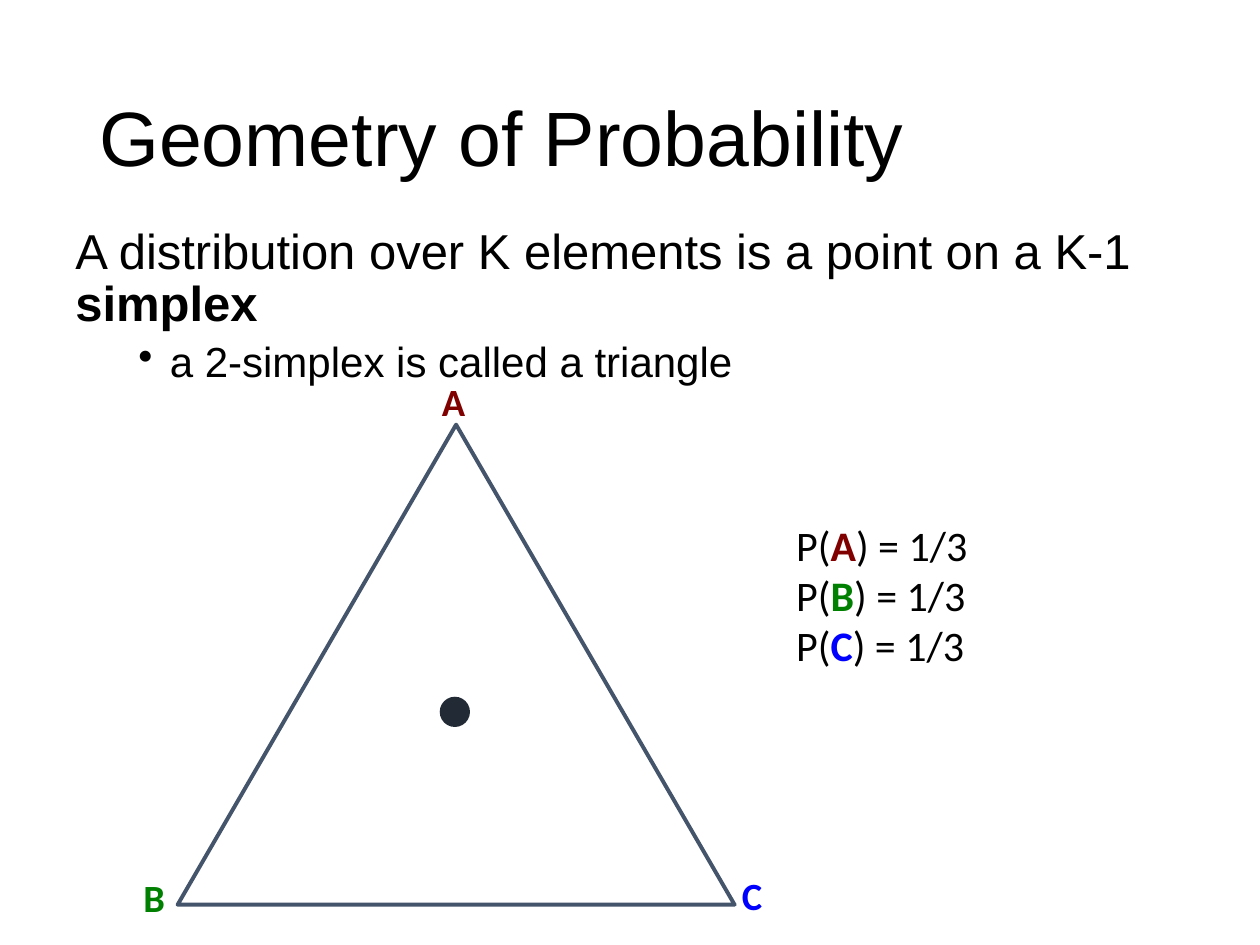
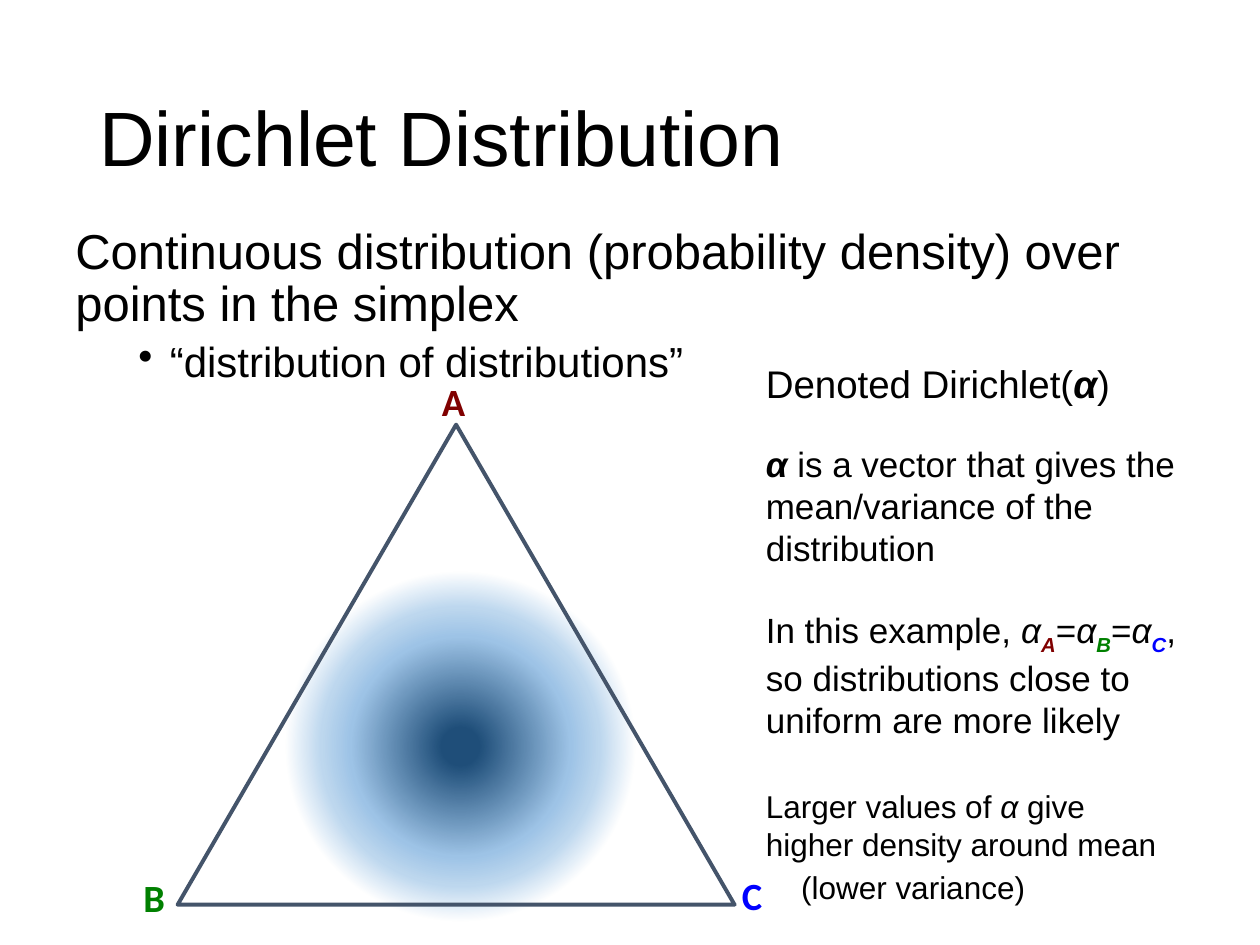
"""Build two slides on the probability simplex and the Dirichlet distribution."""
from dataclasses import dataclass, field
from typing import Any, NamedTuple

from lxml.etree import SubElement
from pptx import Presentation
from pptx.dml.color import RGBColor as Rgb
from pptx.enum.shapes import MSO_SHAPE as Preset
from pptx.enum.text import MSO_ANCHOR as Anchor
from pptx.oxml.ns import qn
from pptx.util import Inches, Pt

WIDTH, HEIGHT = Inches(10), Inches(7.5)
COLUMNS, ROWS = 100, 75

COLOURS = {
    "ink": "000000", "A": "800000", "B": "008000", "C": "0000FF",
    "edge": "44546A", "dot": "222A35",
    "core": "1F4E79", "middle": "9DC3E6", "pale": "BDD7EE", "paper": "FFFFFF",
}
DENSITY_STOPS = {5: "core", 30: "middle", 38: "pale", 48: "paper"}


class Area(NamedTuple):
    """A rectangle in grid columns and rows."""
    column: float
    row: float
    columns: float
    rows: float

    def emu(self) -> tuple[int, ...]:
        """Convert the grid rectangle to slide lengths."""
        steps = (WIDTH / COLUMNS, HEIGHT / ROWS) * 2
        return tuple(round(part * step) for part, step in zip(self, steps))


class Span(NamedTuple):
    """Words that share one look."""
    words: str
    look: dict[str, Any] = {}
    colour: str = "ink"
    subscript: bool = False


@dataclass
class Para:
    """A paragraph with its base font and spacing."""
    spans: list[Span]
    size: float
    font: str = "Arial"
    spacing: dict[str, Any] = field(default_factory=dict)
    bullet: bool = False
    indent: float = 0


class Vertex(NamedTuple):
    """A named corner of the simplex."""
    name: str
    column: float
    row: float


TITLE_AREA = Area(6.9, 4, 90, 14.5)
BODY_AREA = Area(5, 17.5, 90, 53.3)
SIMPLEX_AREA = Area(14.1, 33.7, 44.2, 38.1)
DENSITY_AREA = Area(14.6, 40.2, 43.9, 38.1)
POINT_AREA = Area(34.9, 55.3, 2.4, 2.4)
PROBABILITY_AREA = Area(62.2, 40.7, 32.8, 13.1)
NOTES_AREA = Area(59.8, 28.1, 36.7, 44.9)
VERTICES = [Vertex("A", 34.1, 29.5), Vertex("B", 10.4, 68.9), Vertex("C", 57.9, 68.7)]

BOLD, ITALIC = {"bold": True}, {"italic": True}
BOLD_ITALIC = BOLD | ITALIC
ALPHA, STRONG_ALPHA = Span("α", ITALIC), Span("α", BOLD_ITALIC)


def apply(target: Any, values: dict[str, Any]) -> None:
    """Set each named attribute on the target."""
    for name, value in values.items():
        setattr(target, name, value)


def write_span(paragraph: Any, span: Span, base: dict[str, Any]) -> None:
    """Add one run to a paragraph."""
    run = paragraph.add_run()
    run.text = span.words
    apply(run.font, base | span.look)
    run.font.color.rgb = Rgb.from_string(COLOURS[span.colour])
    if span.subscript:
        run.font._rPr.set("baseline", "-25000")


def write(slide: Any, area: Area, paras: list[Para], anchor: Any = Anchor.TOP) -> None:
    """Add a text box holding the paragraphs."""
    frame = slide.shapes.add_textbox(*area.emu()).text_frame
    apply(frame, {"word_wrap": True, "vertical_anchor": anchor})
    for index, para in enumerate(paras):
        paragraph = frame.add_paragraph() if index else frame.paragraphs[0]
        apply(paragraph, para.spacing)
        for span in para.spans:
            if span.words == "\n":
                paragraph.add_line_break()
            else:
                write_span(paragraph, span, {"name": para.font, "size": Pt(para.size)})
        properties = paragraph._p.get_or_add_pPr()
        if para.indent:
            properties.set("marL", str(Inches(para.indent)))
        if para.bullet:
            properties.set("indent", str(Inches(-0.25)))
            SubElement(properties, qn("a:buChar"), char="•")


def draw(slide: Any, preset: Any, area: Area, fill: str = "", edge: str = "") -> Any:
    """Add a flat preset shape with an optional fill and edge."""
    shape = slide.shapes.add_shape(preset, *area.emu())
    shape.shadow.inherit = False
    if fill:
        shape.fill.solid()
        shape.fill.fore_color.rgb = Rgb.from_string(COLOURS[fill])
    else:
        shape.fill.background()
    if edge:
        shape.line.color.rgb = Rgb.from_string(COLOURS[edge])
        shape.line.width = Pt(2.25)
    else:
        shape.line.fill.background()
    return shape


def draw_density(slide: Any) -> None:
    """Add the radial cloud of probability density."""
    cloud = draw(slide, Preset.RECTANGLE, DENSITY_AREA)
    cloud.fill.gradient()
    gradient = cloud._element.spPr.find(qn("a:gradFill"))
    for child in list(gradient):
        gradient.remove(child)
    stops = SubElement(gradient, qn("a:gsLst"))
    for percent, colour in DENSITY_STOPS.items():
        stop = SubElement(stops, qn("a:gs"), pos=str(percent * 1000))
        SubElement(stop, qn("a:srgbClr"), val=COLOURS[colour])
    circle = SubElement(gradient, qn("a:path"), path="circle")
    SubElement(circle, qn("a:fillToRect"), {side: "50000" for side in "ltrb"})


def draw_simplex(slide: Any) -> None:
    """Add the triangle and its corner labels."""
    draw(slide, Preset.ISOSCELES_TRIANGLE, SIMPLEX_AREA, edge="edge")
    for name, column, row in VERTICES:
        label = Para([Span(name, BOLD, name)], 22, "Calibri")
        write(slide, Area(column, row, 7, 4.7), [label])


def write_heading(slide: Any, title: str, statement: list[Span], detail: str) -> None:
    """Add the title, the statement and its bullet."""
    tight = {"line_spacing": 0.9}
    write(slide, TITLE_AREA, [Para([Span(title)], 44, spacing=tight)], Anchor.MIDDLE)
    write(slide, BODY_AREA, [
        Para(statement, 28, spacing=tight | {"space_before": Pt(10)}),
        Para([Span(detail)], 24, spacing=tight | {"space_before": Pt(5)},
             bullet=True, indent=0.75),
    ])


def build_geometry(slide: Any) -> None:
    """Show the uniform distribution as a point on the simplex."""
    statement = [Span("A distribution over K elements is a point on a K-1 "), Span("simplex", BOLD)]
    write_heading(slide, "Geometry of Probability", statement, "a 2-simplex is called a triangle")
    draw_simplex(slide)
    write(slide, PROBABILITY_AREA, [
        Para([Span("P("), Span(vertex.name, BOLD, vertex.name), Span(") = 1/3")], 24, "Calibri")
        for vertex in VERTICES
    ])
    draw(slide, Preset.OVAL, POINT_AREA, fill="dot")


def build_dirichlet(slide: Any) -> None:
    """Show a Dirichlet density over the simplex."""
    draw_density(slide)
    statement = [Span("Continuous distribution (probability density) over points in the simplex")]
    write_heading(slide, "Dirichlet Distribution", statement, "“distribution of distributions”")
    draw_simplex(slide)
    equal_alphas = []
    for vertex in VERTICES:
        equal_alphas += [ALPHA, Span(vertex.name, BOLD_ITALIC, vertex.name, True), Span("=")]
    after = {"space_after": Pt(3)}
    write(slide, NOTES_AREA, [
        Para([Span("Denoted Dirichlet("), STRONG_ALPHA, Span(")")], 22),
        Para([STRONG_ALPHA, Span(" is a vector that gives the mean/variance of the distribution")],
             20, spacing={"space_before": Pt(20.7)}),
        Para([Span("In this example, "), *equal_alphas[:-1],
              Span(", so distributions close to uniform are more likely")],
             20, spacing=after | {"space_before": Pt(23)}),
        Para([Span("Larger values of "), ALPHA, Span(" give"), Span("\n"),
              Span("higher density around mean")],
             18, spacing=after | {"space_before": Pt(23.7)}),
        Para([Span("(lower variance)")], 18, spacing=after, indent=0.28),
    ])


def main() -> None:
    """Build and save the slides."""
    deck = Presentation()
    apply(deck, {"slide_width": WIDTH, "slide_height": HEIGHT})
    for build in (build_geometry, build_dirichlet):
        build(deck.slides.add_slide(deck.slide_layouts[6]))
    deck.save("out.pptx")


if __name__ == "__main__":
    main()
